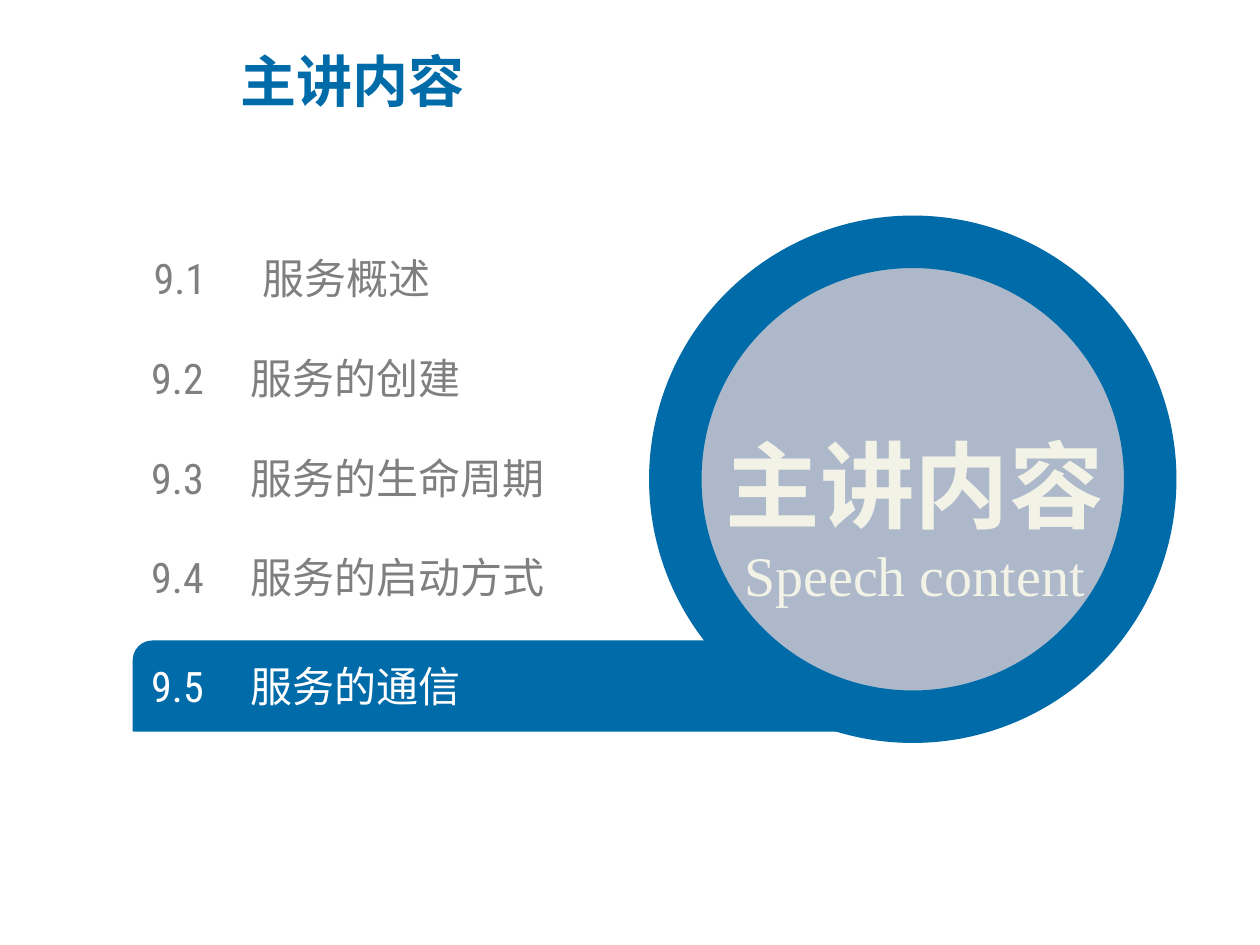
from lxml import etree
from pptx import Presentation
from pptx.dml.color import RGBColor
from pptx.enum.shapes import MSO_SHAPE
from pptx.enum.text import MSO_ANCHOR, MSO_AUTO_SIZE, PP_ALIGN
from pptx.oxml.ns import qn
from pptx.util import Pt

BAR_SHAPE = MSO_SHAPE.ROUND_2_DIAG_RECTANGLE
CIRCLE = MSO_SHAPE.OVAL
MIDDLE = MSO_ANCHOR.MIDDLE
NO_AUTOFIT = MSO_AUTO_SIZE.NONE
LEFT, CENTER = PP_ALIGN.LEFT, PP_ALIGN.CENTER

COLORS = {
    "blue": "006BA9",
    "disc": "ADB9CA",
    "gray": "7F7F7F",
    "white": "FFFFFF",
    "cream": "F2F2E6",
}
CHINESE_FONT = "Noto Sans CJK SC"
NUMBER_FONT = "Roboto Condensed"
ENGLISH_FONT = "Times New Roman"

TOPICS = [
    ("9.1", "服务概述"),
    ("9.2", "服务的创建"),
    ("9.3", "服务的生命周期"),
    ("9.4", "服务的启动方式"),
    ("9.5", "服务的通信"),
]
LIST_LEFT, LIST_TOP, LIST_PITCH = 86.4, 144.3, 57.05
ROW_WIDTH, ROW_HEIGHT = 301.7, 28.8
BAR_LEFT, BAR_TOP, BAR_WIDTH, BAR_HEIGHT = 76.3, 366.5, 431.3, 51.1


def color(name):
    return RGBColor.from_string(COLORS[name])


def place(shape, left, top, width, height):
    shape.left, shape.top = Pt(left), Pt(top)
    shape.width, shape.height = Pt(width), Pt(height)


def add_span(para, text, size, font, color_name, bold=False):
    span = para.add_run()
    span.text = text
    span.font.size = Pt(size)
    span.font.name = font
    span.font.bold = bold
    span.font.color.rgb = color(color_name)
    east_asian = etree.SubElement(span.font._element, qn("a:ea"))
    east_asian.set("typeface", CHINESE_FONT)


def set_tab_stop(para, position):
    tab_list = etree.SubElement(para._p.get_or_add_pPr(), qn("a:tabLst"))
    tab = etree.SubElement(tab_list, qn("a:tab"))
    tab.set("pos", str(Pt(position)))
    tab.set("algn", "l")


def set_frame(frame, margin=None):
    frame.word_wrap = True
    frame.auto_size = NO_AUTOFIT
    frame.vertical_anchor = MIDDLE
    if margin is not None:
        frame.margin_left = frame.margin_right = Pt(margin)
        frame.margin_top = frame.margin_bottom = Pt(margin)


def add_title(page, text):
    title = page.shapes.title
    place(title, 130.3, 15.8, 405.4, 60.5)
    set_frame(title.text_frame)
    para = title.text_frame.paragraphs[0]
    para.alignment = LEFT
    add_span(para, text, 32, CHINESE_FONT, "blue", bold=True)


def add_filled_shape(page, kind, bounds, fill, line_width):
    shape = page.shapes.add_shape(kind, *map(Pt, bounds))
    shape.shadow.inherit = False
    shape.fill.solid()
    shape.fill.fore_color.rgb = color(fill)
    shape.line.color.rgb = color("blue")
    shape.line.width = Pt(line_width)
    return shape


def add_topic(page, number, name, left, top, tab, color_name):
    box = page.shapes.add_textbox(Pt(left), Pt(top), Pt(ROW_WIDTH), Pt(ROW_HEIGHT))
    set_frame(box.text_frame, margin=0)
    para = box.text_frame.paragraphs[0]
    set_tab_stop(para, tab)
    add_span(para, f"{number}\t{name}", 24, NUMBER_FONT, color_name)


def add_topics(page):
    for index, (number, name) in enumerate(TOPICS):
        left, top, tab = LIST_LEFT, LIST_TOP + index * LIST_PITCH, 57
        color_name = "gray"
        if index == 0:
            left, tab = left + 1.4, 62.3
        if index == len(TOPICS) - 1:
            # The current topic is centred in the bar
            top = BAR_TOP + (BAR_HEIGHT - ROW_HEIGHT) / 2
            color_name = "white"
        add_topic(page, number, name, left, top, tab, color_name)


def add_circle_caption(page):
    box = page.shapes.add_textbox(Pt(382.3), Pt(207.4), Pt(280.8), Pt(144))
    frame = box.text_frame
    set_frame(frame)
    heading = frame.paragraphs[0]
    heading.alignment = CENTER
    heading.line_spacing = 1.5
    add_span(heading, "主讲内容", 54, CHINESE_FONT, "cream", bold=True)
    subtitle = frame.add_paragraph()
    subtitle.alignment = CENTER
    add_span(subtitle, "Speech content", 32, ENGLISH_FONT, "cream")


def main():
    deck = Presentation()
    deck.slide_width, deck.slide_height = Pt(720), Pt(540)
    page = deck.slides.add_slide(deck.slide_layouts[5])

    add_title(page, "主讲内容")

    # Highlight bar behind the current topic
    bar = add_filled_shape(
        page, BAR_SHAPE, (BAR_LEFT, BAR_TOP, BAR_WIDTH, BAR_HEIGHT), "blue", 1
    )
    bar.adjustments[0], bar.adjustments[1] = 0.21, 0
    add_topics(page)

    # Ringed circle with its caption
    add_filled_shape(page, CIRCLE, (385.9, 138.2, 271.4, 271.4), "disc", 30)
    add_circle_caption(page)

    deck.save("out.pptx")


if __name__ == "__main__":
    main()
